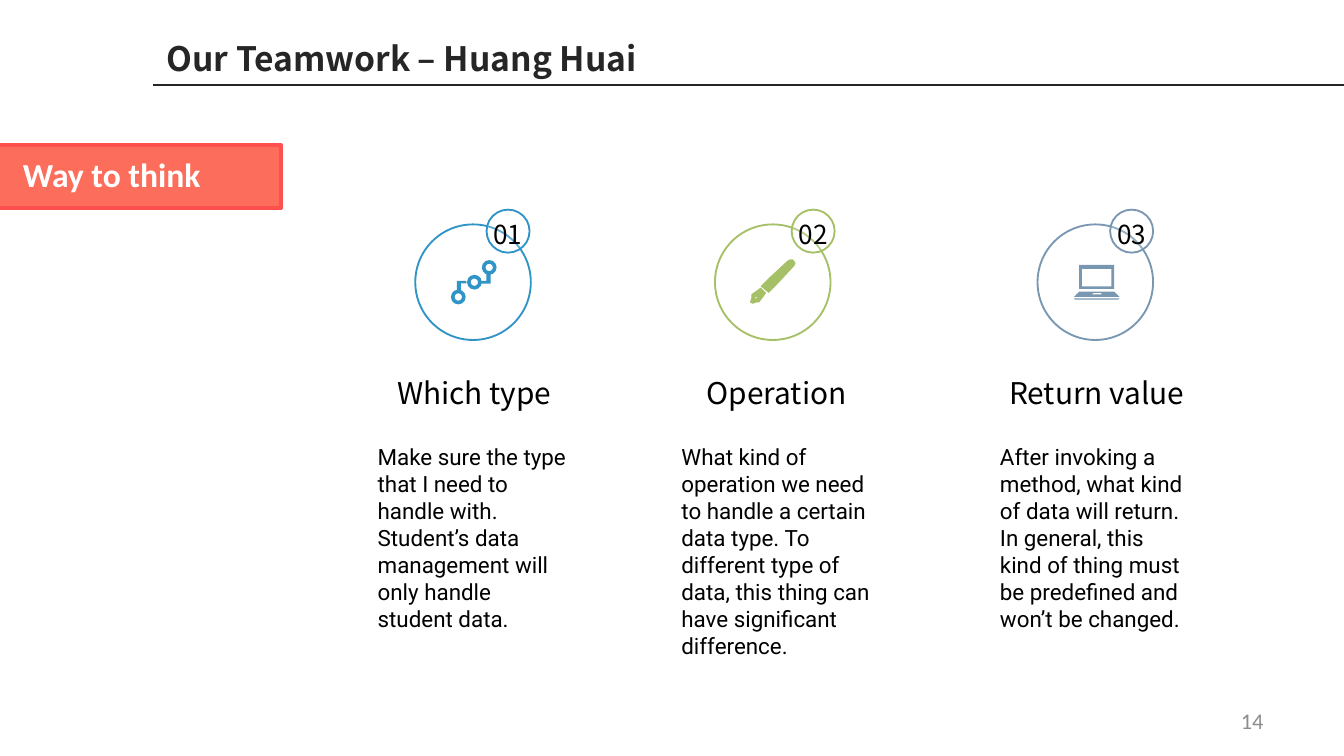
import dataclasses
from typing import Optional

import lxml.etree
import pptx
import pptx.dml.color
import pptx.enum.shapes
import pptx.enum.text
import pptx.oxml.ns
import pptx.util

Inches = pptx.util.Inches
SHAPES = pptx.enum.shapes.MSO_SHAPE
ALIGN = pptx.enum.text.PP_ALIGN
ANCHOR = pptx.enum.text.MSO_ANCHOR
AUTO_SIZE = pptx.enum.text.MSO_AUTO_SIZE
Contour = list[tuple[float, float]]


@dataclasses.dataclass(frozen=True)
class Theme:
    heading_font: str = "Noto Sans CJK SC"
    label_font: str = "Calibri"
    body_font: str = "Roboto"
    title_size: int = 18
    heading_size: int = 16
    number_size: int = 14
    body_size: int = 12
    black: str = "000000"
    dark: str = "262626"
    grey: str = "8C8C8C"
    white: str = "FFFFFF"
    coral: str = "FC6D5C"
    red: str = "FF5050"
    blue: str = "3194C6"
    green: str = "A5C067"
    slate: str = "7997B1"


THEME = Theme()


@dataclasses.dataclass(frozen=True)
class Icon:
    """Outlines (each a list of contours) and rings, relative to the circle centre."""
    outlines: list[list[Contour]]
    ring_centers: Contour = dataclasses.field(default_factory=list)


@dataclasses.dataclass(frozen=True)
class Step:
    number: str
    heading: str
    body: str
    color: str
    icon: Icon
    center: float
    badge_left: float
    heading_left: float
    heading_width: float
    body_left: float
    body_height: float


NODES = Icon(
    outlines=[
        [[(-0.12, 0.06), (-0.12, -0.01), (-0.05, -0.01), (-0.05, 0.01), (-0.09, 0.01), (-0.09, 0.06)]],
        [[(0.06, -0.01), (0.1, -0.01), (0.1, -0.06), (0.13, -0.06), (0.13, 0.01), (0.06, 0.01)]],
    ],
    ring_centers=[(-0.11, 0.11), (0.01, 0), (0.12, -0.11)],
)
PEN = Icon(outlines=[
    [[(-0.16, 0.09), (-0.16, 0.12), (-0.17, 0.15), (-0.15, 0.16), (-0.12, 0.15),
      (-0.1, 0.15), (-0.05, 0.08), (-0.09, 0.04)],
     [(-0.12, 0.12), (-0.13, 0.12), (-0.13, 0.11), (-0.12, 0.11)]],
    [[(-0.09, 0.03), (-0.03, -0.03), (0.11, -0.16), (0.13, -0.17), (0.15, -0.17),
      (0.16, -0.16), (0.17, -0.14), (0.16, -0.12), (0.02, 0.03), (-0.03, 0.08)]],
])
LAPTOP = Icon(outlines=[
    [[(-0.12, -0.13), (0.14, -0.13), (0.14, 0.05), (-0.12, 0.05)],
     [(-0.1, -0.1), (-0.1, 0.03), (0.12, 0.03), (0.12, -0.1)]],
    [[(0.14, 0.07), (-0.12, 0.07), (-0.16, 0.11), (0.18, 0.11)],
     [(-0.03, 0.09), (-0.01, 0.08), (0.04, 0.08), (0.05, 0.09)]],
    [[(-0.16, 0.12), (0.18, 0.12), (0.17, 0.13), (-0.15, 0.13)]],
])

STEPS = [
    Step("01", "Which type",
         "Make sure the type that I need to handle with. Student’s data "
         "management will only handle student data.",
         THEME.blue, NODES, 3.52, 3.62, 2.83, 1.4, 2.81, 1.41),
    Step("02", "Operation",
         "What kind of operation we need to handle a certain data type. To different "
         "type of data, this thing can have significant difference.",
         THEME.green, PEN, 5.75, 5.89, 5.08, 1.4, 5.07, 1.62),
    Step("03", "Return value",
         "After invoking a method, what kind of data will return. In general, this "
         "kind of thing must be predefined and won’t be changed.",
         THEME.slate, LAPTOP, 8.15, 8.26, 7.43, 1.46, 7.44, 1.41),
]
SLIDE_WIDTH = 10
CIRCLE_MIDDLE = 2.1
CIRCLE_SIZE = 0.86
BADGE_SIZE = 0.32
RING_SIZE = 0.11


def rgb(color: str) -> pptx.dml.color.RGBColor:
    return pptx.dml.color.RGBColor.from_string(color)


def write(shape, text: str, *, size: int, font: str, color: str = THEME.black,
          bold: bool = False, align=ALIGN.LEFT, anchor=ANCHOR.TOP, spacing: float = 1,
          wrap: bool = True, grow: bool = True, insets=(0.1, 0.05, 0.1, 0.05)) -> None:
    """Fill a shape with one paragraph; insets run left, top, right, bottom."""
    frame = shape.text_frame
    frame.word_wrap = wrap
    frame.auto_size = AUTO_SIZE.SHAPE_TO_FIT_TEXT if grow else AUTO_SIZE.NONE
    frame.vertical_anchor = anchor
    (frame.margin_left, frame.margin_top,
     frame.margin_right, frame.margin_bottom) = map(Inches, insets)
    paragraph = frame.paragraphs[0]
    paragraph.alignment = align
    paragraph.line_spacing = spacing
    run = paragraph.add_run()
    run.text = text
    run.font.size = pptx.util.Pt(size)
    run.font.name = font
    run.font.bold = bold
    run.font.color.rgb = rgb(color)


def add_text(slide, text: str, box: tuple[float, ...], **style) -> None:
    write(slide.shapes.add_textbox(*map(Inches, box)), text, **style)


def paint(shape, fill: Optional[str] = None, line: Optional[str] = None, width: float = 1) -> None:
    shape.shadow.inherit = False
    if fill:
        shape.fill.solid()
        shape.fill.fore_color.rgb = rgb(fill)
    else:
        shape.fill.background()
    if line:
        shape.line.color.rgb = rgb(line)
        shape.line.width = pptx.util.Pt(width)
    else:
        shape.line.fill.background()


def add_preset(slide, preset, box: tuple[float, ...], **style):
    shape = slide.shapes.add_shape(preset, *map(Inches, box))
    paint(shape, **style)
    return shape


def set_opacity(shape, percent: int) -> None:
    color = shape._element.spPr.find(pptx.oxml.ns.qn("a:solidFill"))[0]
    lxml.etree.SubElement(color, pptx.oxml.ns.qn("a:alpha"), val=str(percent * 1000))


def add_icon(slide, icon: Icon, center: float, middle: float, color: str) -> None:
    for contours in icon.outlines:
        placed = [[(Inches(center + x), Inches(middle + y)) for x, y in contour]
                  for contour in contours]
        builder = slide.shapes.build_freeform(*placed[0][0])
        builder.add_line_segments(placed[0][1:], close=True)
        for hole in placed[1:]:
            builder.move_to(*hole[0])
            builder.add_line_segments(hole[1:], close=True)
        paint(builder.convert_to_shape(), fill=color)
    for x, y in icon.ring_centers:
        add_preset(slide, SHAPES.DONUT,
                   (center + x - RING_SIZE / 2, middle + y - RING_SIZE / 2, RING_SIZE, RING_SIZE),
                   fill=color)


def add_step(slide, step: Step) -> None:
    add_icon(slide, step.icon, step.center, CIRCLE_MIDDLE, step.color)
    add_preset(slide, SHAPES.OVAL,
               (step.center - CIRCLE_SIZE / 2, CIRCLE_MIDDLE - CIRCLE_SIZE / 2,
                CIRCLE_SIZE, CIRCLE_SIZE), line=step.color)
    centered = dict(font=THEME.heading_font, align=ALIGN.CENTER, spacing=1.4, insets=(0.05,) * 4)
    add_text(slide, step.heading, (step.heading_left, 2.63, step.heading_width, 0.44),
             size=THEME.heading_size, **centered)
    add_text(slide, step.body, (step.body_left, 3.3, 1.42, step.body_height),
             size=THEME.body_size, font=THEME.body_font, insets=(0,) * 4)
    badge = add_preset(slide, SHAPES.OVAL, (step.badge_left, 1.56, BADGE_SIZE, BADGE_SIZE),
                       fill=THEME.white, line=step.color)
    set_opacity(badge, 21)
    add_text(slide, step.number, (step.badge_left - 0.01, 1.48, 0.34, 0.4),
             size=THEME.number_size, **centered)


def main() -> None:
    deck = pptx.Presentation()
    deck.slide_width = Inches(SLIDE_WIDTH)
    deck.slide_height = Inches(SLIDE_WIDTH * 9 / 16)
    slide = deck.slides.add_slide(deck.slide_layouts[5])

    title = slide.shapes.title
    title.left, title.top, title.width, title.height = map(Inches, (1.14, 0.23, 3.87, 0.4))
    write(title, "Our Teamwork – Huang Huai", size=THEME.title_size, font=THEME.heading_font,
          color=THEME.dark, bold=True, wrap=False)
    underline = slide.shapes.add_connector(pptx.enum.shapes.MSO_CONNECTOR.STRAIGHT,
                                           *map(Inches, (1.14, 0.63, SLIDE_WIDTH, 0.63)))
    underline.line.color.rgb = rgb(THEME.dark)
    underline.line.width = pptx.util.Pt(1)
    lxml.etree.SubElement(underline._element.spPr, pptx.oxml.ns.qn("a:effectLst"))

    add_text(slide, "14", (7.17, 5.21, 2.33, 0.3), size=THEME.body_size, font=THEME.label_font,
             color=THEME.grey, align=ALIGN.RIGHT, anchor=ANCHOR.MIDDLE, grow=False)
    add_preset(slide, SHAPES.RECTANGLE, (-0.43, 1.08, 2.52, 0.47),
               fill=THEME.coral, line=THEME.red, width=2)
    add_text(slide, "Way to think", (-0.1, 1.1, 2.03, 0.4), size=THEME.title_size,
             font=THEME.label_font, color=THEME.white, bold=True, insets=(0.27, 0.05, 0.1, 0.05))
    for step in STEPS:
        add_step(slide, step)
    deck.save("out.pptx")


if __name__ == "__main__":
    main()
